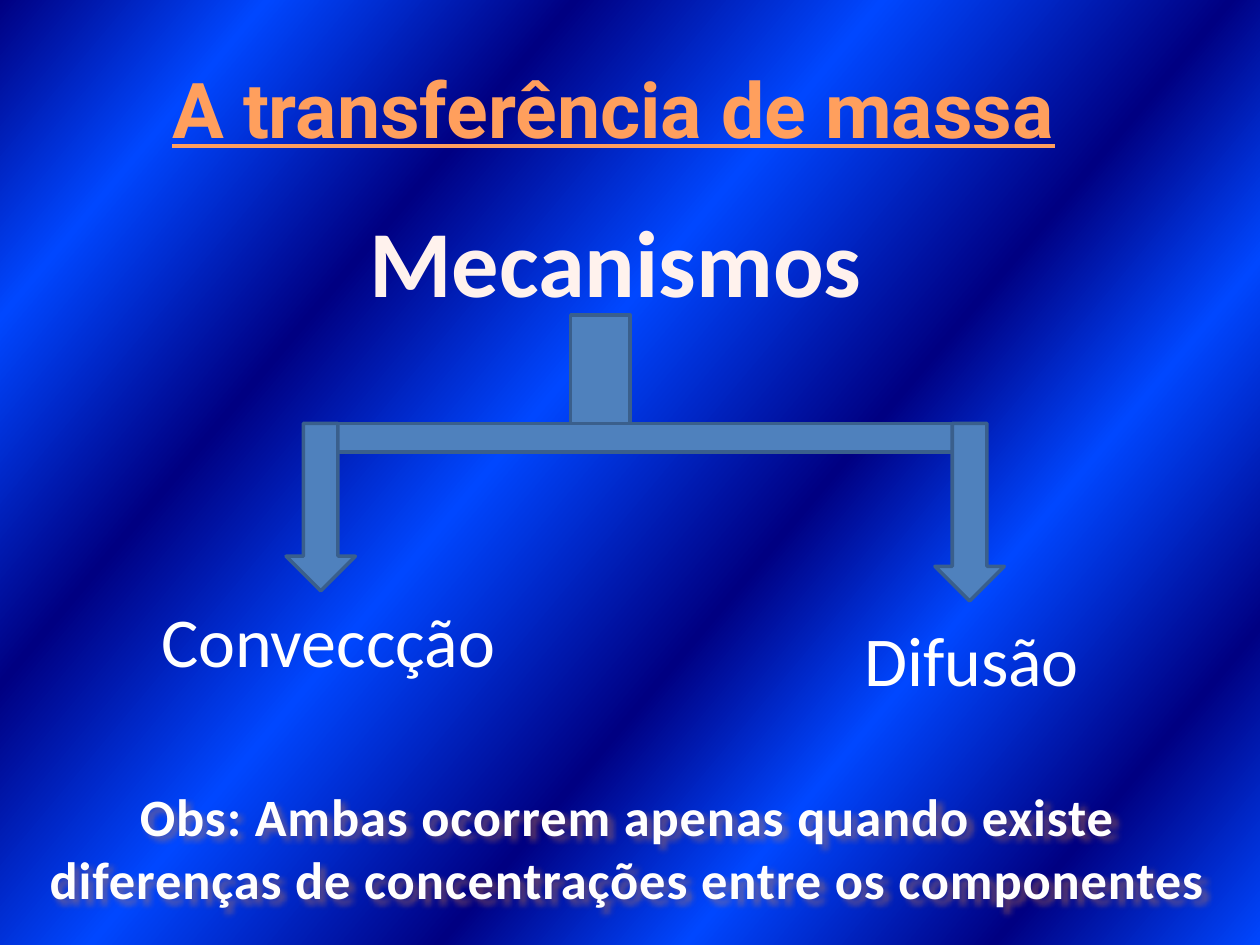
"""Build the slide on the mechanisms of mass transfer."""
from dataclasses import dataclass

from lxml.etree import SubElement
from pptx import Presentation
from pptx.dml.color import RGBColor
from pptx.enum.shapes import MSO_SHAPE
from pptx.enum.text import MSO_ANCHOR, PP_ALIGN
from pptx.oxml.ns import qn
from pptx.shapes.base import BaseShape
from pptx.slide import Slide
from pptx.util import Inches, Pt


@dataclass(frozen=True)
class Theme:
    title: str = "FF9F5D"
    heading: str = "FFF2ED"
    label: str = "FFFFFF"
    note: str = "FFFEFE"
    note_shadow: str = "E78738"
    block: str = "4F81BD"
    block_line: str = "3A5F8C"
    dark: str = "000082"
    bright: str = "0047FF"
    stops: tuple[int, ...] = (0, 13, 28, 43, 60, 72, 87, 100)
    angle: int = 40
    font: str = "Calibri"
    title_font: str = "Roboto"
    title_size: int = 44
    heading_size: int = 54
    label_size: int = 40
    note_size: int = 30
    line_width: int = 2


@dataclass(frozen=True)
class Area:
    left: float
    top: float
    width: float
    height: float

    def lengths(self) -> tuple[Inches, ...]:
        return tuple(Inches(v) for v in (self.left, self.top, self.width, self.height))


@dataclass(frozen=True)
class Block:
    kind: MSO_SHAPE
    area: Area


@dataclass(frozen=True)
class Label:
    text: str
    area: Area
    wrap: bool


THEME = Theme()
BAR_TOP = 3.36
BLOCKS = (
    Block(MSO_SHAPE.RECTANGLE, Area(4.53, 2.5, 0.47, 1.09)),
    Block(MSO_SHAPE.RECTANGLE, Area(2.66, BAR_TOP, 4.92, 0.23)),
    Block(MSO_SHAPE.DOWN_ARROW, Area(2.27, BAR_TOP, 0.55, 1.33)),
    Block(MSO_SHAPE.DOWN_ARROW, Area(7.42, BAR_TOP, 0.55, 1.41)),
)
LABELS = (
    Label("Conveccção", Area(0.86, 4.69, 3.49, 0.77), True),
    Label("Difusão", Area(6.72, 4.84, 1.98, 0.77), False),
)


def paint_background(page: Slide) -> None:
    fill = page.background.fill
    fill.gradient()
    fill.gradient_angle = 360 - THEME.angle
    stop_list = page.element.find(".//" + qn("a:gsLst"))
    for stop in list(stop_list):
        stop_list.remove(stop)
    for index, position in enumerate(THEME.stops):
        stop = SubElement(stop_list, qn("a:gs"), pos=str(position * 1000))
        color = THEME.bright if index % 2 else THEME.dark
        SubElement(stop, qn("a:srgbClr"), val=color)


def add_block(page: Slide, block: Block) -> None:
    shape = page.shapes.add_shape(block.kind, *block.area.lengths())
    shape.shadow.inherit = False
    shape.fill.solid()
    shape.fill.fore_color.rgb = RGBColor.from_string(THEME.block)
    shape.line.color.rgb = RGBColor.from_string(THEME.block_line)
    shape.line.width = Pt(THEME.line_width)


def add_text(page: Slide, text: str, area: Area, *, size: int, color: str,
             font: str = THEME.font, bold: bool = False, underline: bool = False,
             wrap: bool = True, anchor: MSO_ANCHOR = MSO_ANCHOR.TOP,
             spacing: float = 0) -> BaseShape:
    box = page.shapes.add_textbox(*area.lengths())
    frame = box.text_frame
    frame.word_wrap = wrap
    frame.vertical_anchor = anchor
    frame.text = text
    for para in frame.paragraphs:
        para.alignment = PP_ALIGN.CENTER
        for span in para.runs:
            span.font.name = font
            span.font.size = Pt(size)
            span.font.bold = bold
            span.font.underline = underline
            span.font.color.rgb = RGBColor.from_string(color)
            if spacing:
                span.font._element.set("spc", str(round(spacing * 100)))
    return box


def add_shadow(box: BaseShape, color: str) -> None:
    effects = SubElement(box.element.spPr, qn("a:effectLst"))
    shadow = SubElement(effects, qn("a:outerShdw"), blurRad=str(Pt(3)),
                        dist=str(Pt(3)), dir="2700000", algn="tl", rotWithShape="0")
    tint = SubElement(shadow, qn("a:srgbClr"), val=color)
    SubElement(tint, qn("a:alpha"), val="40000")


def main() -> None:
    deck = Presentation()
    deck.slide_width, deck.slide_height = Inches(10), Inches(7.5)
    page = deck.slides.add_slide(deck.slide_layouts[6])
    paint_background(page)
    add_text(page, "A transferência de massa", Area(0.62, 0.23, 8.5, 1.25),
             size=THEME.title_size, color=THEME.title, font=THEME.title_font,
             bold=True, underline=True, anchor=MSO_ANCHOR.MIDDLE)
    add_text(page, "Mecanismos", Area(2.81, 1.56, 4.15, 1.01),
             size=THEME.heading_size, color=THEME.heading, bold=True)
    for block in BLOCKS:
        add_block(page, block)
    for label in LABELS:
        add_text(page, label.text, label.area, size=THEME.label_size,
                 color=THEME.label, wrap=label.wrap)
    note = add_text(page, "Obs: Ambas ocorrem apenas quando existe\n"
                    "diferenças de concentrações entre os componentes",
                    Area(0.23, 6.17, 9.5, 1.11), size=THEME.note_size,
                    color=THEME.note, bold=True, wrap=False, spacing=0.5)
    add_shadow(note, THEME.note_shadow)
    deck.save("out.pptx")


if __name__ == "__main__":
    main()
